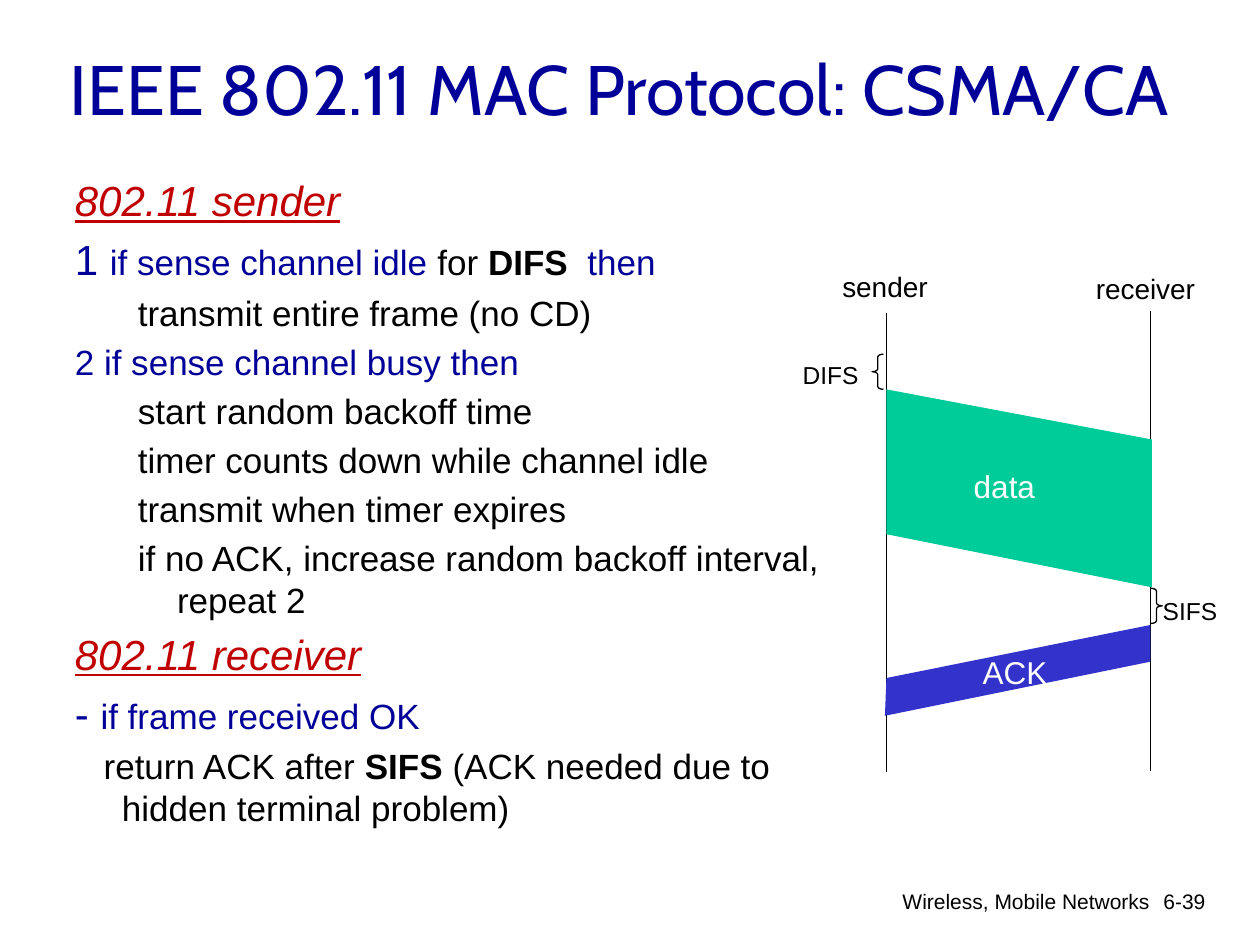
from lxml import etree
from pptx import Presentation
from pptx.dml.color import RGBColor
from pptx.enum.shapes import MSO_CONNECTOR as Connector, MSO_SHAPE as Preset
from pptx.enum.text import MSO_ANCHOR as Anchor, PP_ALIGN as Align
from pptx.oxml.ns import qn
from pptx.util import Cm, Pt

COLORS = {
    "navy": "000099",
    "red": "C00000",
    "black": "000000",
    "white": "FFFFFF",
    "green": "00CC99",
    "blue": "3333CC",
}

# Paragraph styles: left margin and first-line indent in cm, space before in points
STYLES = {
    "heading": (0.95, -0.95, 4.8),
    "step": (0.95, -0.95, 4),
    "action": (2.06, -0.79, 4),
    "reply": (0.95, -0.37, 4),
}

# Runs: text, size, colour, emphasis (b = bold, h = italic and underlined)
BODY = [
    ("heading", [("802.11 sender", 24, "red", "h")]),
    ("heading", [
        ("1 ", 24, "navy", ""),
        ("if sense channel idle", 20, "navy", ""),
        (" for ", 20, "black", ""),
        ("DIFS  ", 20, "black", "b"),
        ("then", 20, "navy", ""),
    ]),
    ("action", [("transmit entire frame (no CD)", 20, "black", "")]),
    ("step", [("2 if sense channel busy then", 20, "navy", "")]),
    ("action", [("start random backoff time", 20, "black", "")]),
    ("action", [("timer counts down while channel idle", 20, "black", "")]),
    ("action", [("transmit when timer expires", 20, "black", "")]),
    ("action", [("if no ACK, increase random backoff interval, repeat 2", 20, "black", "")]),
    ("heading", [("802.11 receiver", 24, "red", "h")]),
    ("heading", [("- ", 24, "navy", ""), ("if frame received OK", 20, "navy", "")]),
    ("reply", [
        ("return ACK after ", 20, "black", ""),
        ("SIFS ", 20, "black", "b"),
        ("(ACK needed due to hidden terminal problem)", 20, "black", ""),
    ]),
]


def rgb(name):
    return RGBColor.from_string(COLORS[name])


def add_run(paragraph, text, size, color, emphasis="", font="Arial"):
    run = paragraph.add_run()
    run.text = text
    run.font.name = font
    run.font.size = Pt(size)
    run.font.color.rgb = rgb(color)
    run.font.bold = "b" in emphasis
    run.font.italic = run.font.underline = "h" in emphasis


def add_text_frame(slide, left, top, width, height, wrap=True):
    frame = slide.shapes.add_textbox(Cm(left), Cm(top), Cm(width), Cm(height)).text_frame
    frame.word_wrap = wrap
    return frame


def add_label(slide, left, top, width, height, text, size, color="black"):
    frame = add_text_frame(slide, left, top, width, height, wrap=False)
    add_run(frame.paragraphs[0], text, size, color)


def add_title(slide, left, top, width, height):
    frame = add_text_frame(slide, left, top, width, height)
    frame.vertical_anchor = Anchor.MIDDLE
    add_run(frame.paragraphs[0], "IEEE 802.11 MAC Protocol: CSMA/CA", 40, "navy", font="Cabin")


def add_body(slide, left, top, width, height):
    frame = add_text_frame(slide, left, top, width, height)
    for index, (style, runs) in enumerate(BODY):
        paragraph = frame.add_paragraph() if index else frame.paragraphs[0]
        margin, indent, space = STYLES[style]
        properties = paragraph._p.get_or_add_pPr()
        properties.set("marL", str(Cm(margin)))
        properties.set("indent", str(Cm(indent)))
        if index:
            paragraph.space_before = Pt(space)
        for run in runs:
            add_run(paragraph, *run)


def add_timeline(slide, x, top, bottom):
    line = slide.shapes.add_connector(Connector.STRAIGHT, Cm(x), Cm(top), Cm(x), Cm(bottom))
    line.line.color.rgb = rgb("black")
    line.line.width = Pt(0.75)
    etree.SubElement(line._element.spPr, qn("a:effectLst"))


def add_brace(slide, preset, left, top):
    brace = slide.shapes.add_shape(preset, Cm(left), Cm(top), Cm(0.23), Cm(0.71))
    brace.adjustments[0] = 0.25
    brace.shadow.inherit = False
    brace.fill.background()
    brace.line.color.rgb = rgb("black")
    brace.line.width = Pt(0.75)


def add_band(slide, corners, color):
    """Draw a frame in transit as a filled slanted band."""
    points = [(Cm(x), Cm(y)) for x, y in corners]
    builder = slide.shapes.build_freeform(*points[0])
    builder.add_line_segments(points[1:], close=True)
    band = builder.convert_to_shape()
    band.shadow.inherit = False
    band.fill.solid()
    band.fill.fore_color.rgb = rgb(color)
    band.line.fill.background()


def add_timing_diagram(slide, left, top):
    sender, receiver = left + 1.94, left + 7.26

    add_timeline(slide, sender, top + 0.99, top + 10.26)
    add_timeline(slide, receiver, top + 0.96, top + 10.24)
    add_label(slide, left + 0.8, top, 2.31, 0.94, "sender", 16)
    add_label(slide, left + 5.91, top + 0.03, 2.54, 0.94, "receiver", 16)

    add_brace(slide, Preset.LEFT_BRACE, sender - 0.29, top + 1.83)
    add_label(slide, left, top + 1.83, 1.65, 0.86, "DIFS", 14)
    add_band(slide, [
        (sender, top + 2.54),
        (receiver + 0.03, top + 3.55),
        (receiver + 0.03, top + 6.53),
        (sender, top + 5.46),
    ], "green")
    add_label(slide, left + 3.45, top + 3.99, 1.75, 1.02, "data", 18, "white")

    add_label(slide, receiver, top + 6.58, 1.63, 0.86, "SIFS", 14)
    add_brace(slide, Preset.RIGHT_BRACE, receiver + 0.01, top + 6.55)
    add_band(slide, [
        (sender - 0.03, top + 9.12),
        (receiver, top + 8.03),
        (receiver, top + 7.29),
        (sender, top + 8.36),
    ], "blue")
    add_label(slide, left + 3.63, top + 7.72, 1.83, 1.02, "ACK", 18, "white")


def add_footer(slide, left, top):
    parts = [(0, 10.72, 0.89, "Wireless, Mobile Networks"), (9.96, 1.88, 1.27, "6-39")]
    for offset, width, height, text in parts:
        paragraph = add_text_frame(slide, left + offset, top, width, height).paragraphs[0]
        paragraph.alignment = Align.RIGHT
        add_run(paragraph, text, 12, "black")


def main():
    presentation = Presentation()
    presentation.slide_width, presentation.slide_height = Cm(25.4), Cm(19.05)
    slide = presentation.slides.add_slide(presentation.slide_layouts[6])
    add_footer(slide, 12.71, 17.78)
    add_title(slide, 1.16, 0.45, 22.83, 2.64)
    add_body(slide, 1.26, 3.4, 15.65, 13.77)
    add_timing_diagram(slide, 15.93, 5.31)
    presentation.save("out.pptx")


if __name__ == "__main__":
    main()
